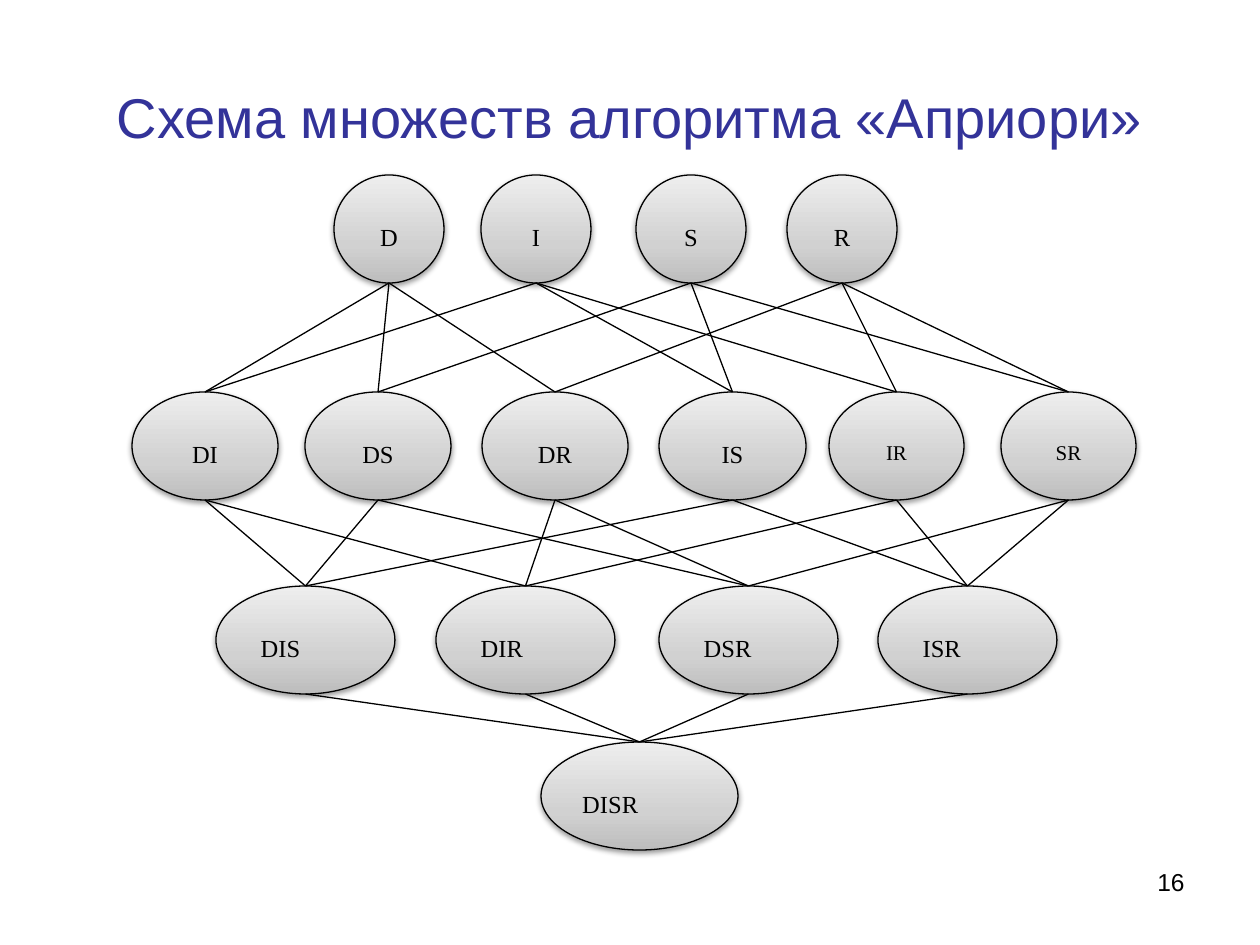
from copy import deepcopy
from dataclasses import dataclass
from itertools import pairwise

from lxml.etree import SubElement
from pptx import Presentation
from pptx.dml.color import RGBColor
from pptx.enum.shapes import MSO_CONNECTOR as Connector, MSO_SHAPE as Preset
from pptx.enum.text import MSO_ANCHOR as Anchor, PP_ALIGN as Align
from pptx.oxml.ns import qn
from pptx.shapes.autoshape import Shape
from pptx.slide import Slide
from pptx.util import Pt

EMU_PER_PX = 914400 / 126
BLACK = RGBColor(0x00, 0x00, 0x00)
INDIGO = RGBColor(0x33, 0x33, 0x99)
GRADIENT = (
    (0.0, RGBColor(0xBD, 0xBD, 0xBD)),
    (0.35, RGBColor(0xD1, 0xD1, 0xD1)),
    (1.0, RGBColor(0xEE, 0xEE, 0xEE)),
)
NODE_HEIGHT = 108
LINE_WIDTH = Pt(0.75)


@dataclass(frozen=True)
class ItemSet:
    label: str
    left: int
    width: int
    size: int = 14

    @property
    def items(self) -> set[str]:
        return set(self.label.strip())


@dataclass(frozen=True)
class Level:
    top: int
    align: Align
    item_sets: tuple[ItemSet, ...]


LEVELS = (
    Level(175, Align.CENTER, (
        ItemSet("D", 334, 110), ItemSet("I", 481, 110),
        ItemSet("S", 636, 110), ItemSet("R", 787, 110),
    )),
    Level(392, Align.CENTER, (
        ItemSet("DI", 132, 146), ItemSet("DS", 305, 146), ItemSet("DR", 482, 146),
        ItemSet("IS", 659, 147), ItemSet("IR", 829, 135, 12), ItemSet("SR", 1001, 135, 12),
    )),
    Level(586, Align.JUSTIFY, (
        ItemSet(" DIS", 216, 179), ItemSet(" DIR", 436, 179),
        ItemSet(" DSR", 659, 179), ItemSet(" ISR", 878, 179),
    )),
    Level(742, Align.JUSTIFY, (ItemSet("DISR ", 541, 197),)),
)


def px(length: int) -> int:
    return round(length * EMU_PER_PX)


def write_text(shape: Shape, text: str, *, size: int, font: str = "Arial",
               color: RGBColor = BLACK, align: Align = Align.CENTER,
               anchor: Anchor = Anchor.MIDDLE, line_spacing: float = 1.0) -> None:
    frame = shape.text_frame
    frame.word_wrap = True
    frame.vertical_anchor = anchor
    paragraph = frame.paragraphs[0]
    paragraph.alignment = align
    paragraph.line_spacing = line_spacing
    run = paragraph.add_run()
    run.text = text
    run.font.name = font
    run.font.size = Pt(size)
    run.font.color.rgb = color


def fill_gradient(shape: Shape) -> None:
    shape.fill.gradient()
    shape.fill.gradient_angle = 90
    stops = shape._element.spPr.find(qn("a:gradFill")).find(qn("a:gsLst"))
    stops.insert(1, deepcopy(stops[0]))
    for stop, (position, color) in zip(shape.fill.gradient_stops, GRADIENT):
        stop.position = position
        stop.color.rgb = color


def add_shadow(shape: Shape) -> None:
    shape.shadow.inherit = False
    effects = shape._element.spPr.find(qn("a:effectLst"))
    shadow = SubElement(effects, qn("a:outerShdw"), blurRad="40000", dist="20000",
                        dir="5400000", rotWithShape="0")
    color = SubElement(shadow, qn("a:srgbClr"), val=str(BLACK))
    SubElement(color, qn("a:alpha"), val="38000")


def add_node(slide: Slide, item_set: ItemSet, level: Level) -> Shape:
    node = slide.shapes.add_shape(Preset.OVAL, px(item_set.left), px(level.top),
                                  px(item_set.width), px(NODE_HEIGHT))
    fill_gradient(node)
    node.line.color.rgb = BLACK
    node.line.width = LINE_WIDTH
    add_shadow(node)
    write_text(node, item_set.label, size=item_set.size, font="Times New Roman",
               align=level.align, line_spacing=1.5)
    return node


def add_link(slide: Slide, upper: Shape, lower: Shape) -> None:
    link = slide.shapes.add_connector(
        Connector.STRAIGHT,
        upper.left + upper.width // 2, upper.top + upper.height,
        lower.left + lower.width // 2, lower.top)
    link.end_connect(lower, 0)
    link.line.color.rgb = BLACK
    link.line.width = LINE_WIDTH
    SubElement(link._element.spPr, qn("a:effectLst"))


def add_lattice(slide: Slide) -> None:
    nodes = {item_set: add_node(slide, item_set, level)
             for level in LEVELS for item_set in level.item_sets}
    for upper_level, lower_level in pairwise(LEVELS):
        for upper in upper_level.item_sets:
            for lower in lower_level.item_sets:
                if upper.items < lower.items:
                    add_link(slide, nodes[upper], nodes[lower])


def main() -> None:
    presentation = Presentation()
    presentation.slide_width = px(1260)
    presentation.slide_height = px(945)
    slide = presentation.slides.add_slide(presentation.slide_layouts[6])

    title = slide.shapes.add_textbox(px(63), px(38), px(1134), px(157))
    write_text(title, "Схема множеств алгоритма «Априори»", size=32, color=INDIGO)
    number = slide.shapes.add_textbox(px(903), px(861), px(294), px(66))
    write_text(number, "16", size=14, align=Align.RIGHT, anchor=Anchor.TOP)

    add_lattice(slide)
    presentation.save("out.pptx")


if __name__ == "__main__":
    main()
